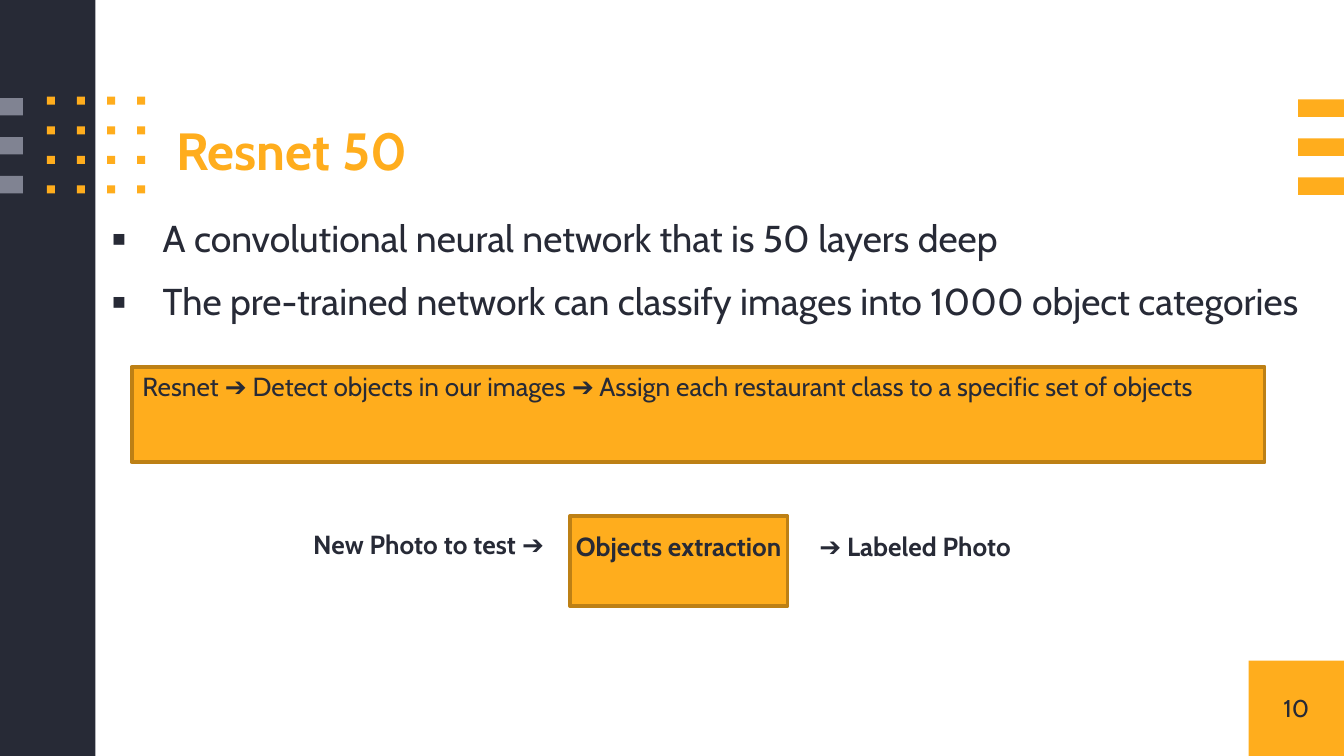
from pptx import Presentation
from pptx.dml.color import RGBColor
from pptx.enum.shapes import MSO_SHAPE
from pptx.enum.text import MSO_ANCHOR, MSO_AUTO_SIZE, PP_ALIGN
from pptx.oxml.ns import qn
from pptx.util import Inches, Pt
from lxml.etree import SubElement

ORANGE = RGBColor(0xFF, 0xAD, 0x1D)
BROWN = RGBColor(0xBD, 0x80, 0x15)
NAVY = RGBColor(0x27, 0x2A, 0x36)
GRAY = RGBColor(0x80, 0x83, 0x92)
FONT = "Cabin"

# Slide of 16 by 9, in inches
WIDTH = 10
HEIGHT = WIDTH * 9 / 16
SIDE = 0.71

# Content: places are left, top, width, height in inches
TITLE = "Resnet 50"
BULLETS = [
    "A convolutional neural network that is 50 layers deep",
    "The pre-trained network can classify images into 1000 object categories",
]
SUMMARY = ("Resnet ➔ Detect objects in our images ➔ "
           "Assign each restaurant class to a specific set of objects")
FLOW = [
    ("Objects extraction", (4.24, 3.91, 1.62, 0.59)),
    ("New Photo to test ➔", (2.01, 3.9, 2.36, 0.59)),
    ("➔ Labeled Photo", (5.63, 3.91, 2.36, 0.59)),
]
PAGE_NUMBER = "10"
CORNER = (WIDTH - SIDE, HEIGHT - SIDE, SIDE, SIDE)
PANELS = [(0.98, 2.73, 8.43, 0.71), (4.24, 3.84, 1.62, 0.67)]


def place(shape, area):
    shape.left, shape.top, shape.width, shape.height = map(Inches, area)


def add_rectangle(page, area, color, outline=None):
    shape = page.shapes.add_shape(MSO_SHAPE.RECTANGLE, *map(Inches, area))
    shape.shadow.inherit = False
    shape.fill.solid()
    shape.fill.fore_color.rgb = color
    if outline is None:
        shape.line.fill.background()
    else:
        shape.line.color.rgb = outline
        shape.line.width = Pt(2)


def write(shape, lines, size, color=NAVY, bold=False, align=PP_ALIGN.LEFT,
          anchor=MSO_ANCHOR.TOP, spacing=1.15, before=6):
    frame = shape.text_frame
    frame.word_wrap = True
    frame.auto_size = MSO_AUTO_SIZE.NONE
    frame.vertical_anchor = anchor
    frame.margin_left = frame.margin_top = 0
    frame.margin_right = frame.margin_bottom = 0
    for index, line in enumerate(lines):
        para = frame.add_paragraph() if index else frame.paragraphs[0]
        para.alignment = align
        para.line_spacing = spacing
        para.space_before = Pt(before)
        span = para.add_run()
        span.text = line
        span.font.name = FONT
        span.font.size = Pt(size)
        span.font.bold = bold
        span.font.color.rgb = color


def add_label(page, line, area, size, **style):
    box = page.shapes.add_textbox(*map(Inches, area))
    write(box, [line], size, **style)


def add_square_bullet(para):
    properties = para._p.get_or_add_pPr()
    properties.set("marL", str(Inches(0.38)))
    properties.set("indent", str(-Inches(0.38)))
    color = SubElement(properties, qn("a:buClr"))
    SubElement(color, qn("a:srgbClr"), val=str(NAVY))
    SubElement(properties, qn("a:buFont"), typeface=FONT)
    SubElement(properties, qn("a:buChar"), char="▪")


deck = Presentation()
deck.slide_width, deck.slide_height = Inches(WIDTH), Inches(HEIGHT)
page = deck.slides.add_slide(deck.slide_layouts[1])

# Corner square and side bar
add_rectangle(page, CORNER, ORANGE)
add_rectangle(page, (0, 0, SIDE, HEIGHT), NAVY)

# Stripes on both edges and the dot grid
for row in range(3):
    add_rectangle(page, (0, 0.73 + 0.29 * row, 0.17, 0.13), GRAY)
    add_rectangle(page, (9.66, 0.74 + 0.29 * row, 0.34, 0.13), ORANGE)
for row in range(4):
    for column in range(4):
        dot = (0.35 + 0.67 * column / 3, 0.72 + 0.22 * row, 0.06, 0.06)
        add_rectangle(page, dot, ORANGE)

# Title and bullet list
title, body = page.shapes.title, page.placeholders[1]
place(title, (1.31, 0.45, 7.56, 1.38))
write(title, [TITLE], 28, color=ORANGE, bold=True,
      anchor=MSO_ANCHOR.MIDDLE, spacing=0.9, before=0)
place(body, (0.83, 1.55, 9.17, 1.42))
write(body, BULLETS, 20)
for para in body.text_frame.paragraphs:
    add_square_bullet(para)

# Outlined panels, summary and flow labels
for area in PANELS:
    add_rectangle(page, area, ORANGE, outline=BROWN)
add_label(page, SUMMARY, (1.06, 2.72, 9.02, 0.71), 14)
for line, area in FLOW:
    add_label(page, line, area, 14, bold=True, align=PP_ALIGN.CENTER)

# Page number
add_label(page, PAGE_NUMBER, CORNER, 13, align=PP_ALIGN.CENTER,
          anchor=MSO_ANCHOR.MIDDLE, spacing=1, before=0)

deck.save("out.pptx")
